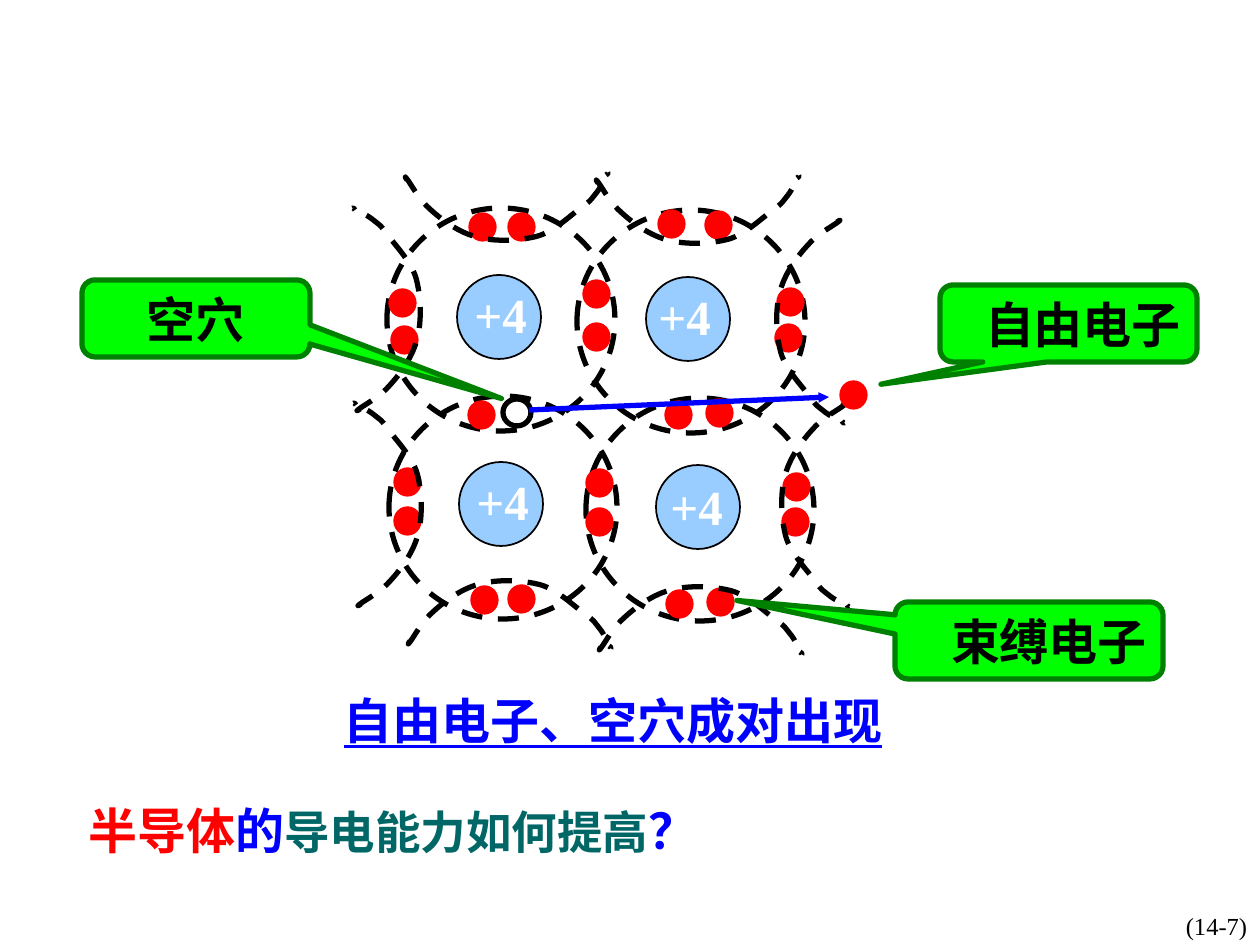
from lxml.etree import SubElement
from pptx import Presentation
from pptx.dml.color import RGBColor
from pptx.enum.dml import MSO_LINE
from pptx.enum.shapes import MSO_CONNECTOR, MSO_SHAPE
from pptx.enum.text import MSO_ANCHOR, MSO_AUTO_SIZE, PP_ALIGN
from pptx.oxml.ns import qn
from pptx.util import Pt

SCALE = 914400 / 126
LATIN, CHINESE = "Times New Roman", "Noto Sans CJK SC"
COLORS = {
    "black": "000000", "white": "FFFFFF", "red": "FF0000", "blue": "0000FF",
    "teal": "006666", "core": "99CCFF", "callout": "00FF00", "border": "008000",
}
ORBITS = [(387, 208), (577, 210), (389, 396), (586, 398)]
CORES = [(457, 275), (646, 277), (459, 462), (656, 465)]
CORE_LABELS = [(462, 278), (646, 280), (464, 465), (658, 470)]
BOUND_ELECTRONS = [
    (471, 215), (510, 215), (660, 212), (707, 213),
    (391, 291), (393, 328), (585, 282), (585, 325), (779, 290), (777, 326),
    (470, 403), (667, 403), (708, 401),
    (396, 470), (396, 509), (588, 471), (588, 510), (785, 475), (784, 510),
    (473, 588), (510, 587), (668, 592), (709, 590),
]
BOND_CURVE = [
    (62, 4), (62, 4), (68, 0), (63, 4), (58, 8), (42, 16), (32, 28),
    (21, 40), (9, 57), (5, 74), (0, 92), (1, 117), (6, 135),
    (11, 152), (28, 169), (35, 179), (42, 189), (44, 189), (50, 194),
    (55, 198), (64, 202), (67, 203), (71, 205), (69, 205), (69, 205),
    (69, 205), (67, 204), (67, 203),
]
BOND_TURNS = {
    "right": lambda x, y: (x, y),
    "left": lambda x, y: (70 - x, 205 - y),
    "top": lambda x, y: (y, 70 - x),
    "bottom": lambda x, y: (y, x),
}
BONDS = [
    ("right", 775, 218), ("right", 780, 402), ("top", 403, 172), ("top", 594, 175),
    ("bottom", 406, 579), ("bottom", 597, 585), ("left", 352, 208), ("left", 353, 403),
]


def px(*lengths):
    """Turn pixel lengths into EMU."""
    return [round(length * SCALE) for length in lengths]


def color(name):
    """Look up a named colour."""
    return RGBColor.from_string(COLORS[name])


def style_shape(shape, fill, line, width=3, dashed=False):
    """Set the fill and outline of a shape and drop its shadow."""
    shape.shadow.inherit = False
    if fill:
        shape.fill.solid()
        shape.fill.fore_color.rgb = color(fill)
    else:
        shape.fill.background()
    shape.line.color.rgb = color(line)
    shape.line.width = Pt(width)
    if dashed:
        shape.line.dash_style = MSO_LINE.DASH


def write_text(box, spans, align=PP_ALIGN.LEFT, anchor=MSO_ANCHOR.TOP):
    """Fill a box with one paragraph of (text, colour, size, latin font) spans."""
    frame = box.text_frame
    frame.word_wrap = True
    frame.auto_size = MSO_AUTO_SIZE.NONE
    frame.vertical_anchor = anchor
    para = frame.paragraphs[0]
    para.alignment = align
    para.space_before = Pt(0)
    for text, tint, size, face in spans:
        span = para.add_run()
        span.text = text
        span.font.size = Pt(size)
        span.font.name = face
        span.font.bold = True
        span.font.color.rgb = color(tint)
        east_asian = SubElement(span.font._element, qn("a:ea"))
        east_asian.set("typeface", CHINESE)
    return para


def add_text(page, area, spans, **layout):
    """Add a text box."""
    return write_text(page.shapes.add_textbox(*px(*area)), spans, **layout)


def add_ellipse(page, area, fill, line, **outline):
    """Add a circle or ellipse."""
    shape = page.shapes.add_shape(MSO_SHAPE.OVAL, *px(*area))
    style_shape(shape, fill, line, **outline)


def add_electron(page, left, top):
    """Add one red electron."""
    add_ellipse(page, (left, top, 23, 24), "red", "red")


def add_bond(page, side, left, top):
    """Add a dashed outer bond, curved towards the lattice from one side."""
    turned = [BOND_TURNS[side](x, y) for x, y in BOND_CURVE]
    points = [(left + x, top + y) for x, y in turned]
    builder = page.shapes.build_freeform(*points[0], scale=SCALE)
    builder.add_line_segments(points[1:], close=False)
    shape = builder.convert_to_shape()
    outline = shape._element.find(".//" + qn("a:path"))
    segments = outline.findall(qn("a:lnTo"))
    for start in range(0, len(segments), 3):
        curve = SubElement(outline, qn("a:cubicBezTo"))
        for segment in segments[start:start + 3]:
            curve.append(segment[0])
            outline.remove(segment)
    style_shape(shape, None, "black", dashed=True)


def add_callout(page, area, pointer, text, align):
    """Add a green callout with its pointer tip."""
    shape = page.shapes.add_shape(MSO_SHAPE.ROUNDED_RECTANGULAR_CALLOUT, *px(*area))
    for index, value in enumerate(pointer):
        shape.adjustments[index] = value
    style_shape(shape, "callout", "border")
    write_text(shape, [(text, "black", 28, LATIN)], align, MSO_ANCHOR.MIDDLE)


def add_arrow(page, start, end):
    """Add the blue arrow of the escaping electron."""
    arrow = page.shapes.add_connector(MSO_CONNECTOR.STRAIGHT, *px(*start, *end))
    arrow.line.color.rgb = color("blue")
    arrow.line.width = Pt(3)
    head = SubElement(arrow.line._get_or_add_ln(), qn("a:tailEnd"))
    for key, value in (("type", "triangle"), ("w", "sm"), ("len", "sm")):
        head.set(key, value)
    SubElement(arrow._element.spPr, qn("a:effectLst"))


def add_lattice(page):
    """Draw the cores, orbits, electrons and outer bonds."""
    for core, orbit in zip(CORES, ORBITS):
        add_ellipse(page, (*core, 84, 84), "core", "black", width=1)
        add_ellipse(page, (*orbit, 228, 223), None, "black", dashed=True)
    for place in BOUND_ELECTRONS:
        add_electron(page, *place)
    for bond in BONDS:
        add_bond(page, *bond)
    for label in CORE_LABELS:
        add_text(page, (*label, 97, 72), [("+4", "white", 28, LATIN)])


def add_conclusion(page):
    """Place the underlined statement in the title placeholder."""
    title = page.shapes.title
    title.left, title.top, title.width, title.height = px(260, 684, 706, 72)
    para = write_text(title, [("自由电子、空穴成对出现", "blue", 28, LATIN)], PP_ALIGN.CENTER)
    para.runs[0].font.underline = True


def main():
    """Build the slide on free electrons and holes."""
    deck = Presentation()
    deck.slide_width, deck.slide_height = px(1260, 945)
    page = deck.slides.add_slide(deck.slide_layouts[5])
    add_conclusion(page)
    add_lattice(page)
    add_electron(page, 842, 383)
    add_ellipse(page, (503, 399, 28, 27), "white", "black")
    add_arrow(page, (529, 410), (829, 397))
    add_callout(page, (940, 285, 257, 77), (-0.73, 0.79, 0.17), "自由电子", PP_ALIGN.RIGHT)
    add_callout(page, (82, 280, 228, 77), (1.34, 1.04, 0.17), "空穴", PP_ALIGN.CENTER)
    add_callout(page, (895, 602, 268, 77), (-1.09, -0.52, 0.17), "束缚电子", PP_ALIGN.RIGHT)
    add_text(page, (76, 794, 1071, 72), [
        ("半导体", "red", 28, CHINESE),
        ("的", "blue", 28, CHINESE),
        ("导电能力如何提高", "teal", 26, LATIN),
        ("？", "blue", 28, CHINESE),
    ])
    number = add_text(page, (1095, 905, 243, 42), [("(14-7)", "black", 14, LATIN)],
                      align=PP_ALIGN.CENTER, anchor=MSO_ANCHOR.MIDDLE)
    number.runs[0].font.bold = False
    deck.save("out.pptx")


if __name__ == "__main__":
    main()
